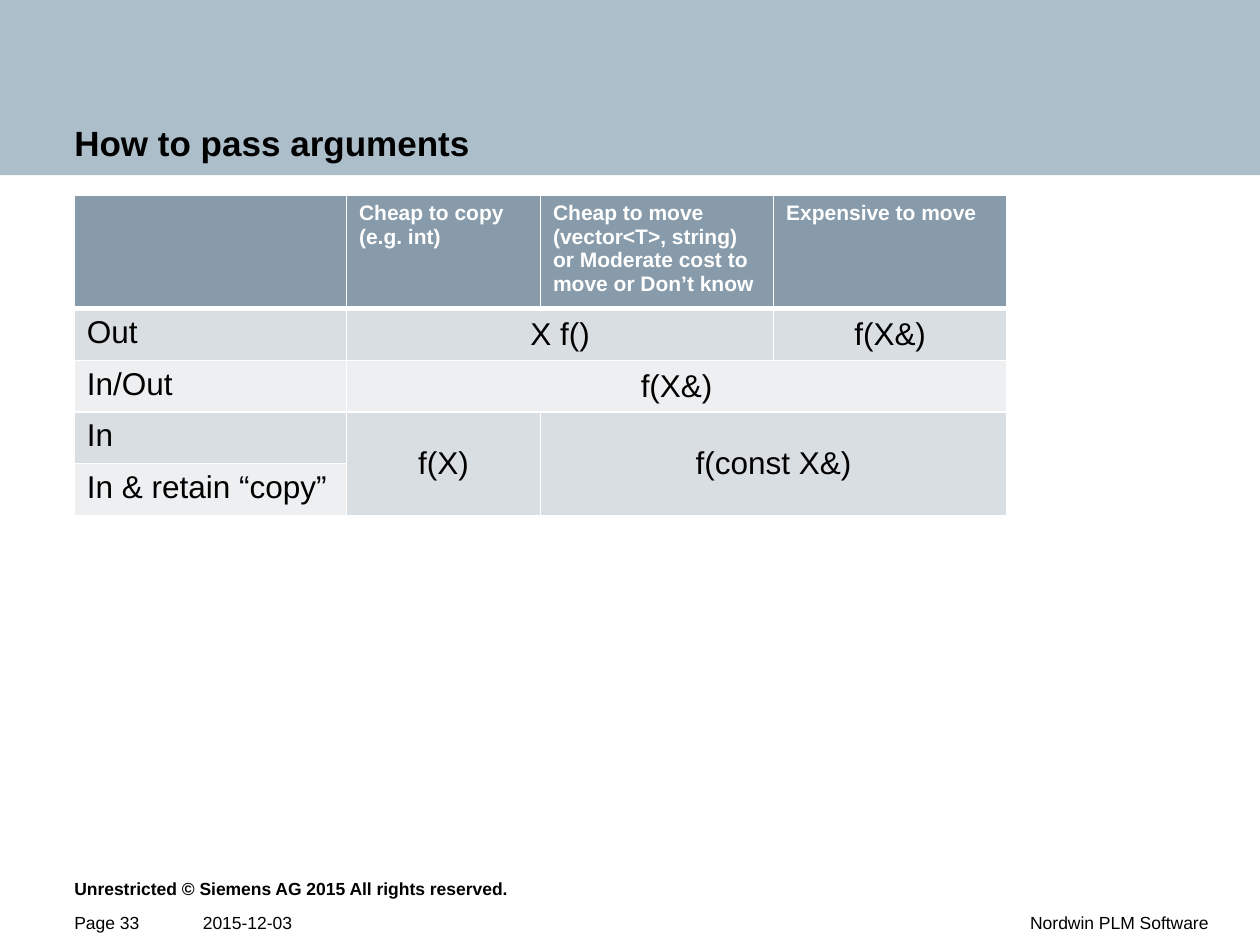
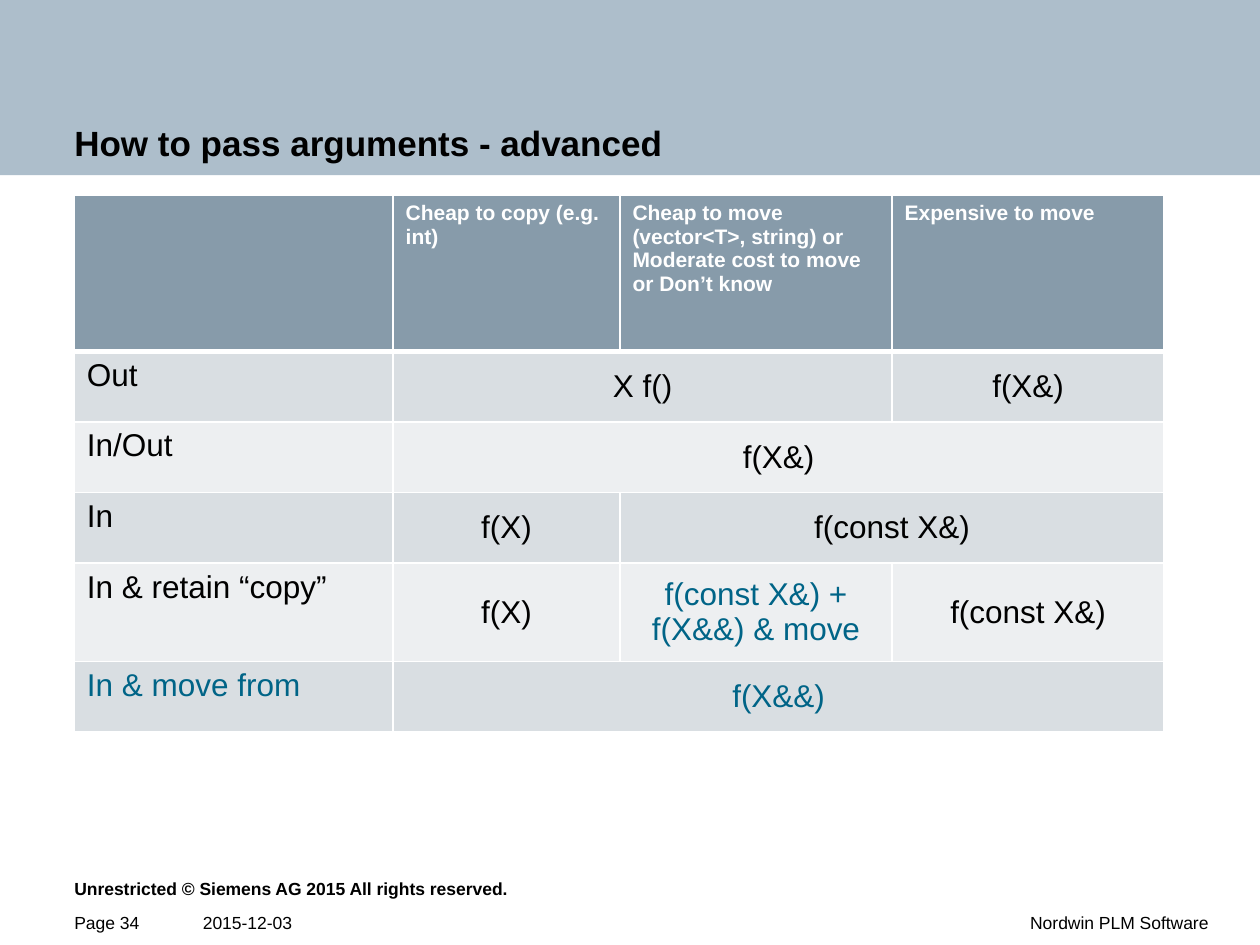
from dataclasses import dataclass

from lxml import etree
from pptx import Presentation
from pptx.dml.color import RGBColor
from pptx.enum.shapes import MSO_SHAPE
from pptx.enum.text import MSO_ANCHOR, PP_ALIGN
from pptx.oxml.ns import qn
from pptx.util import Inches, Pt

RECTANGLE = MSO_SHAPE.RECTANGLE
TOP, MIDDLE, BOTTOM = MSO_ANCHOR.TOP, MSO_ANCHOR.MIDDLE, MSO_ANCHOR.BOTTOM
LEFT, CENTER, RIGHT = PP_ALIGN.LEFT, PP_ALIGN.CENTER, PP_ALIGN.RIGHT


@dataclass(frozen=True)
class Theme:
    """Colours, type sizes and line widths shared by the slides."""
    font: str = "Arial"
    text: str = "000000"
    white: str = "FFFFFF"
    accent: str = "006487"
    band: str = "ADBECB"
    header: str = "879BAA"
    stripes: tuple = ("D9DEE2", "EDEFF1")
    title_size: int = 20
    body_size: int = 18
    header_size: int = 12
    footer_size: int = 10
    thin: int = 1
    thick: int = 3


THEME = Theme()
MARGIN = 0.59
HEADINGS = (
    "",
    "Cheap to copy (e.g. int)",
    "Cheap to move (vector<T>, string) or Moderate cost to move or Don’t know",
    "Expensive to move",
)


@dataclass(frozen=True)
class Entry:
    """A body cell with its place, span and colour."""
    row: int
    column: int
    text: str
    rows: int = 1
    columns: int = 1
    color: str = THEME.text


COMMON_ENTRIES = [
    Entry(1, 0, "Out"),
    Entry(1, 1, "X f()", columns=2),
    Entry(1, 3, "f(X&)"),
    Entry(2, 0, "In/Out"),
    Entry(2, 1, "f(X&)", columns=3),
    Entry(3, 0, "In"),
    Entry(4, 0, "In & retain “copy”"),
]
BASIC_ENTRIES = COMMON_ENTRIES + [
    Entry(3, 1, "f(X)", rows=2),
    Entry(3, 2, "f(const X&)", rows=2, columns=2),
]
ADVANCED_ENTRIES = COMMON_ENTRIES + [
    Entry(3, 1, "f(X)"),
    Entry(3, 2, "f(const X&)", columns=2),
    Entry(4, 1, "f(X)"),
    Entry(4, 2, "f(const X&) + f(X&&) & move", color=THEME.accent),
    Entry(4, 3, "f(const X&)"),
    Entry(5, 0, "In & move from", color=THEME.accent),
    Entry(5, 1, "f(X&&)", columns=3, color=THEME.accent),
]


def write(frame, text, size, color=THEME.text, bold=False, align=LEFT):
    """Fill a text frame with one styled paragraph."""
    para = frame.paragraphs[0]
    para.text = text
    para.alignment = align
    para.font.name = THEME.font
    para.font.size = Pt(size)
    para.font.bold = bold
    para.font.color.rgb = RGBColor.from_string(color)
    return para


def add_text(page, text, place, insets, size, anchor=TOP, **style):
    """Add a wrapping text box with the given insets."""
    box = page.shapes.add_textbox(*map(Inches, place))
    frame = box.text_frame
    frame.word_wrap = True
    frame.vertical_anchor = anchor
    (frame.margin_left, frame.margin_top,
     frame.margin_right, frame.margin_bottom) = map(Inches, insets)
    return write(frame, text, size, **style)


def add_band(page):
    """Add the coloured band behind the title."""
    band = page.shapes.add_shape(RECTANGLE, 0, 0, Inches(10), Inches(1.39))
    band.shadow.inherit = False
    band.fill.solid()
    band.fill.fore_color.rgb = RGBColor.from_string(THEME.band)
    band.line.fill.background()


def add_footer(page, number):
    """Add the copyright line and the bottom line of the page."""
    add_text(page, "Unrestricted © Siemens AG 2015 All rights reserved.",
             (0, 6.74, 10, 0.47), (MARGIN, 0.16, 2.32, 0),
             THEME.footer_size, MIDDLE, bold=True)
    for text, left, width, inset_left, inset_right, align in (
        ("2015-12-03", 0, 2.79, 1.61, 0, LEFT),
        (f"Page {number}", 0, 1.37, MARGIN, 0, LEFT),
        ("Nordwin PLM Software", 2.95, 7.05, 0, 0.41, RIGHT),
    ):
        para = add_text(page, text, (left, 7.22, width, 0.28),
                        (inset_left, 0, inset_right, 0.13),
                        THEME.footer_size, align=align)
        para.line_spacing = 1.1


def set_borders(cell, top, bottom):
    """Draw white borders on the four sides of a cell."""
    properties = cell._tc.get_or_add_tcPr()
    widths = {"lnL": THEME.thin, "lnR": THEME.thin, "lnT": top, "lnB": bottom}
    for index, (side, width) in enumerate(widths.items()):
        line = etree.Element(qn(f"a:{side}"), w=str(Pt(width)))
        fill = etree.SubElement(line, qn("a:solidFill"))
        etree.SubElement(fill, qn("a:srgbClr"), val=THEME.white)
        properties.insert(index, line)


def paint_cell(cell, row):
    """Give a cell the fill and borders of its row."""
    color = THEME.stripes[(row - 1) % 2] if row else THEME.header
    cell.fill.solid()
    cell.fill.fore_color.rgb = RGBColor.from_string(color)
    set_borders(cell, THEME.thick if row == 1 else THEME.thin,
                THEME.thin if row else THEME.thick)


def add_argument_table(page, widths, heights, entries):
    """Add the table of parameter passing styles."""
    table = page.shapes.add_table(
        len(heights), len(widths), Inches(MARGIN), Inches(1.55),
        Inches(sum(widths)), Inches(sum(heights))).table
    for column, width in zip(table.columns, widths):
        column.width = Inches(width)
    for index, height in enumerate(heights):
        table.rows[index].height = Inches(height)
        for cell in table.rows[index].cells:
            paint_cell(cell, index)
    for column, heading in enumerate(HEADINGS):
        if heading:
            write(table.cell(0, column).text_frame, heading,
                  THEME.header_size, THEME.white, bold=True)
    for entry in entries:
        cell = table.cell(entry.row, entry.column)
        if entry.rows * entry.columns > 1:
            cell.merge(table.cell(entry.row + entry.rows - 1,
                                  entry.column + entry.columns - 1))
        cell.vertical_anchor = MIDDLE if entry.column else TOP
        write(cell.text_frame, entry.text, THEME.body_size, entry.color,
              align=CENTER if entry.column else LEFT)


def add_page(deck, number, title, widths, heights, entries):
    """Add one slide with band, footer, title and table."""
    page = deck.slides.add_slide(deck.slide_layouts[6])
    add_band(page)
    add_footer(page, number)
    add_text(page, title, (0, 0, 10, 1.38), (MARGIN, 0.43, 2.32, 0.26),
             THEME.title_size, BOTTOM, bold=True)
    add_argument_table(page, widths, heights, entries)


def main():
    """Build and save the deck."""
    deck = Presentation()
    deck.slide_width, deck.slide_height = Inches(10), Inches(7.5)
    add_page(deck, 33, "How to pass arguments",
             (2.16, 1.54, 1.85, 1.85), (0.84,) + (0.41,) * 4, BASIC_ENTRIES)
    add_page(deck, 34, "How to pass arguments - advanced",
             (2.53, 1.8, 2.16, 2.16), (1.24, 0.56, 0.56, 0.56, 0.78, 0.56),
             ADVANCED_ENTRIES)
    deck.save("out.pptx")


if __name__ == "__main__":
    main()
